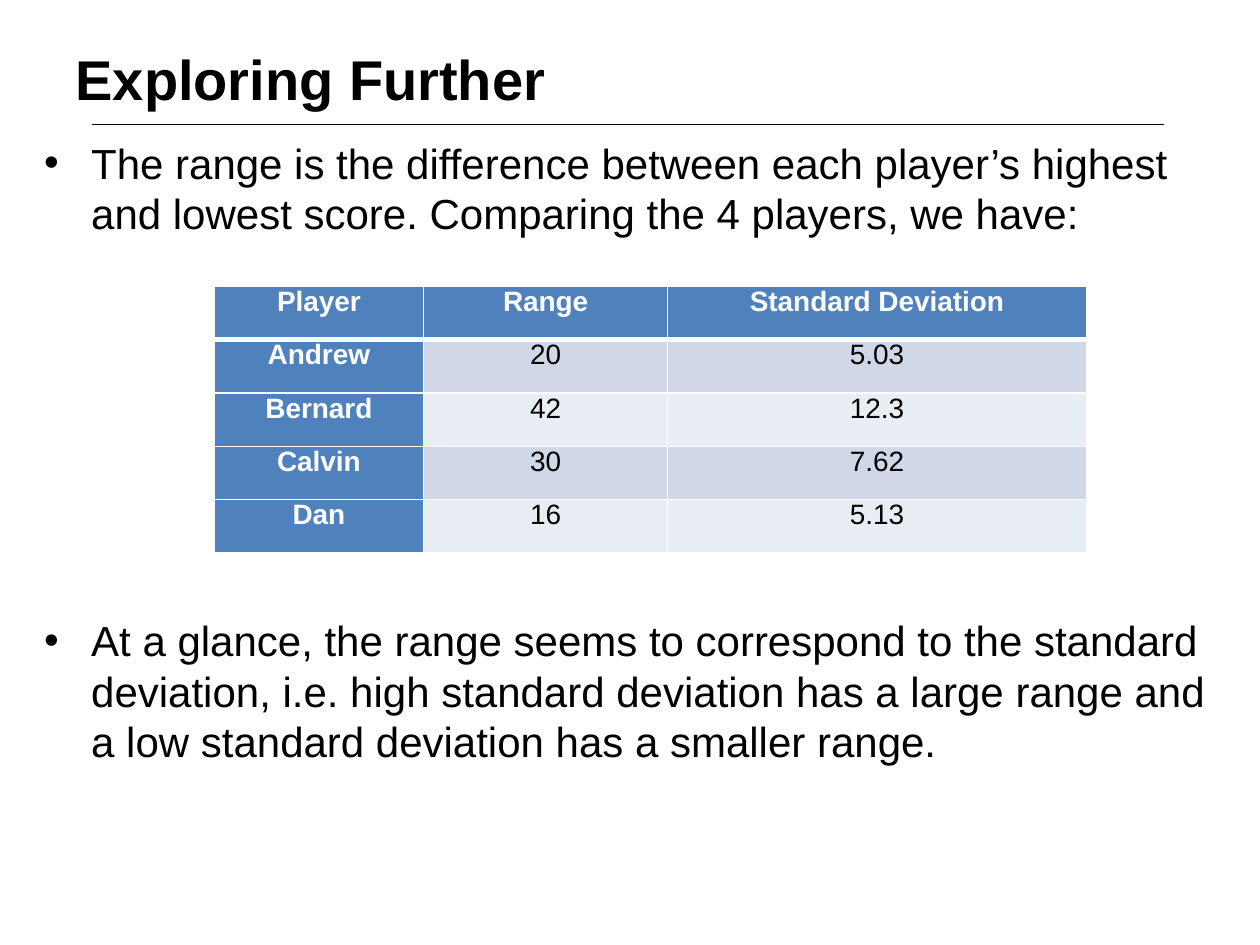
from collections import namedtuple
from dataclasses import dataclass

from lxml.etree import SubElement
from pptx import Presentation
from pptx.dml.color import RGBColor
from pptx.enum.shapes import MSO_CONNECTOR
from pptx.enum.text import MSO_ANCHOR, MSO_AUTO_SIZE, PP_ALIGN
from pptx.oxml.ns import qn
from pptx.util import Cm, Pt


@dataclass(frozen=True)
class Theme:
    font: str = "Arial"
    ink: str = "000000"
    paper: str = "FFFFFF"
    header: str = "4F81BD"
    bands: tuple = ("D0D8E8", "E9EDF4")
    title_size: int = 32
    body_size: int = 24
    table_size: int = 16


THEME = Theme()
Box = namedtuple("Box", "left top width height")

TITLE_BOX = Box(Cm(1.27), Cm(0.76), Cm(22.86), Cm(3.18))
RANGE_BOX = Box(Cm(0.64), Cm(2.64), Cm(24.1), Cm(4.01))
SCORES_BOX = Box(Cm(4.32), Cm(5.77), Cm(17.58), Cm(5.38))
GLANCE_BOX = Box(Cm(0.64), Cm(12.27), Cm(24.1), Cm(5.77))

RANGE_POINT = (
    "The range is the difference between each player’s highest and lowest score. "
    "Comparing the 4 players, we have:"
)
GLANCE_POINT = (
    "At a glance, the range seems to correspond to the standard deviation, "
    "i.e. high standard deviation has a large range and a low standard deviation "
    "has a smaller range."
)
SCORES = [
    ("Player", "Range", "Standard Deviation"),
    ("Andrew", "20", "5.03"),
    ("Bernard", "42", "12.3"),
    ("Calvin", "30", "7.62"),
    ("Dan", "16", "5.13"),
]
COLUMN_SHARES = (0.24, 0.28, 0.48)


def add_run(paragraph, text, size, color=THEME.ink, bold=False):
    run = paragraph.add_run()
    run.text = text
    run.font.name = THEME.font
    run.font.size = Pt(size)
    run.font.bold = bold
    run.font.color.rgb = RGBColor.from_string(color)


def add_heading(slide, box):
    """Fill the title placeholder and rule a line beneath its text."""
    title = slide.shapes.title
    title.left, title.top, title.width, title.height = box
    frame = title.text_frame
    frame.auto_size = MSO_AUTO_SIZE.NONE
    frame.vertical_anchor = MSO_ANCHOR.TOP
    paragraph = frame.paragraphs[0]
    paragraph.alignment = PP_ALIGN.LEFT
    add_run(paragraph, "Exploring Further", THEME.title_size, bold=True)

    rule_left, rule_y = box.left + Cm(0.58), box.top + Cm(1.75)
    rule = slide.shapes.add_connector(
        MSO_CONNECTOR.STRAIGHT, rule_left, rule_y, rule_left + Cm(21.62), rule_y
    )
    rule.line.color.rgb = RGBColor.from_string(THEME.ink)
    rule.line.width = Pt(0.25)
    SubElement(rule.element.spPr, qn("a:effectLst"))


def add_bullet_point(slide, box, text):
    frame = slide.shapes.add_textbox(*box).text_frame
    frame.word_wrap = True
    paragraph = frame.paragraphs[0]
    paragraph.space_before = Pt(THEME.body_size * 0.2)
    add_run(paragraph, text, THEME.body_size)
    properties = paragraph._p.get_or_add_pPr()
    properties.set("marL", str(Cm(0.95)))
    properties.set("indent", str(-Cm(0.95)))
    SubElement(properties, qn("a:buFont"), typeface=THEME.font)
    SubElement(properties, qn("a:buChar"), char="•")


def set_borders(cell, top, bottom):
    """Draw all four borders; top and bottom widths are in points."""
    properties = cell._tc.get_or_add_tcPr()
    for side, points in (("L", 1), ("R", 1), ("T", top), ("B", bottom)):
        line = SubElement(properties, qn(f"a:ln{side}"), w=str(Pt(points)))
        fill = SubElement(line, qn("a:solidFill"))
        SubElement(fill, qn("a:srgbClr"), val=THEME.paper)


def format_cell(cell, text, row, column):
    is_heading = row == 0 or column == 0
    set_borders(cell, top=3 if row == 1 else 1, bottom=3 if row == 0 else 1)
    cell.fill.solid()
    cell.fill.fore_color.rgb = RGBColor.from_string(
        THEME.header if is_heading else THEME.bands[(row - 1) % 2]
    )
    cell.margin_left = cell.margin_right = Cm(0.19)
    cell.margin_top = cell.margin_bottom = 0
    paragraph = cell.text_frame.paragraphs[0]
    paragraph.alignment = PP_ALIGN.CENTER
    paragraph.space_before = paragraph.space_after = Pt(6)
    color = THEME.paper if is_heading else THEME.ink
    add_run(paragraph, text, THEME.table_size, color, is_heading)


def add_scores_table(slide, box):
    table = slide.shapes.add_table(len(SCORES), len(COLUMN_SHARES), *box).table
    table.first_col = True
    for column, share in zip(table.columns, COLUMN_SHARES):
        column.width = int(box.width * share)
    for row, values in enumerate(SCORES):
        for column, value in enumerate(values):
            format_cell(table.cell(row, column), value, row, column)


def main():
    presentation = Presentation()
    presentation.slide_width, presentation.slide_height = Cm(25.4), Cm(19.05)
    title_only = presentation.slide_layouts.get_by_name("Title Only")
    slide = presentation.slides.add_slide(title_only)
    slide.background.fill.solid()
    slide.background.fill.fore_color.rgb = RGBColor.from_string(THEME.paper)
    add_heading(slide, TITLE_BOX)
    add_bullet_point(slide, RANGE_BOX, RANGE_POINT)
    add_scores_table(slide, SCORES_BOX)
    add_bullet_point(slide, GLANCE_BOX, GLANCE_POINT)
    presentation.save("out.pptx")


if __name__ == "__main__":
    main()
